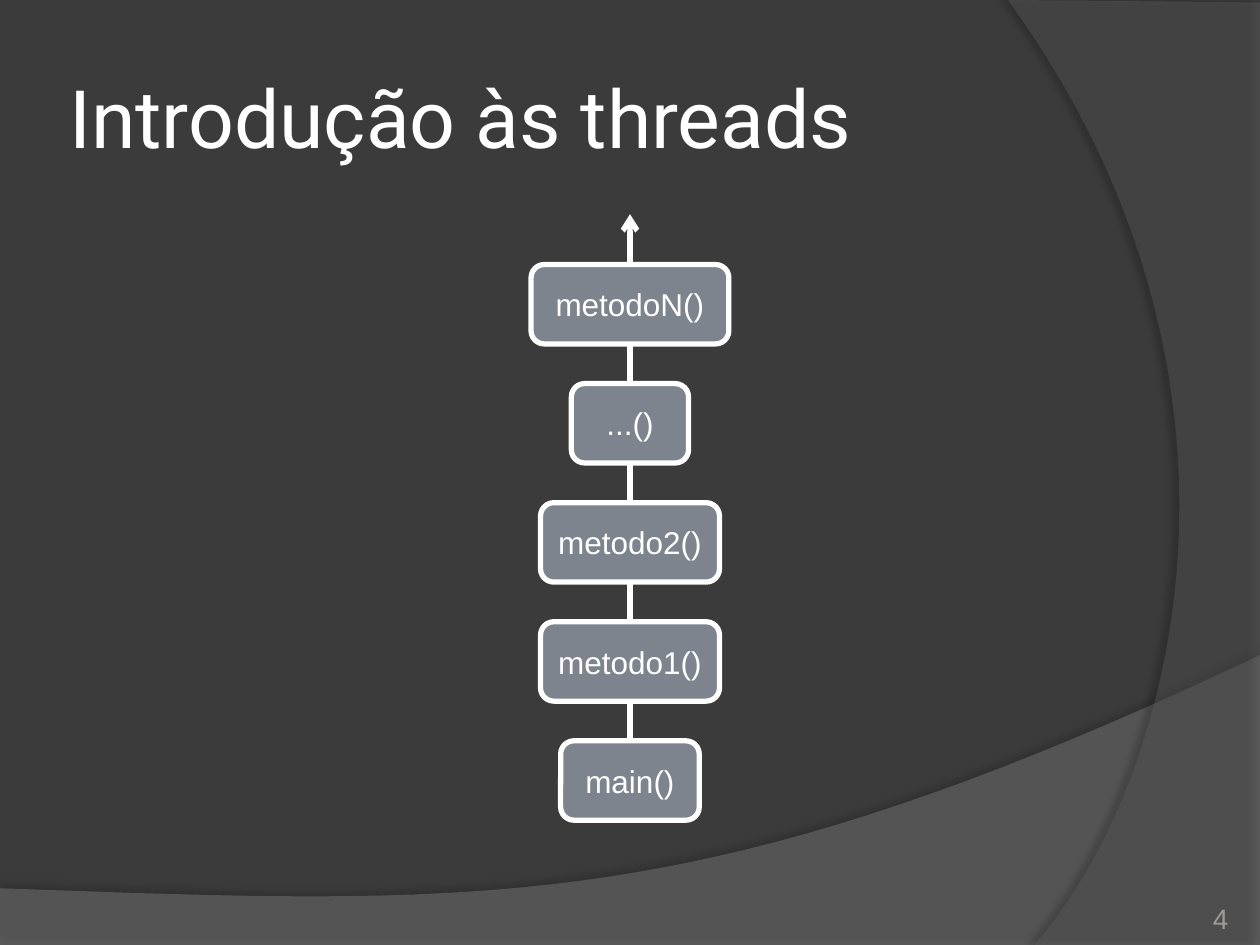
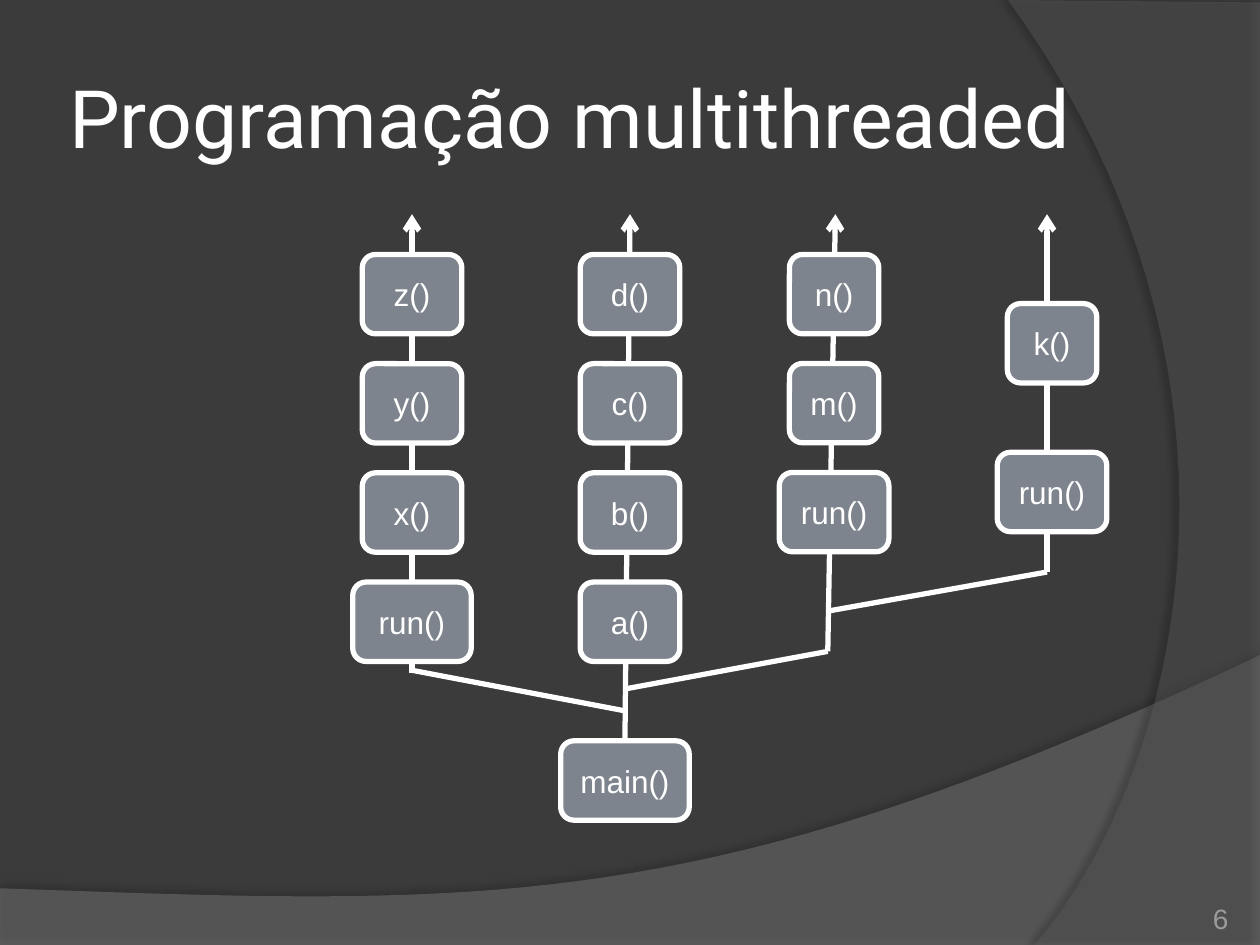
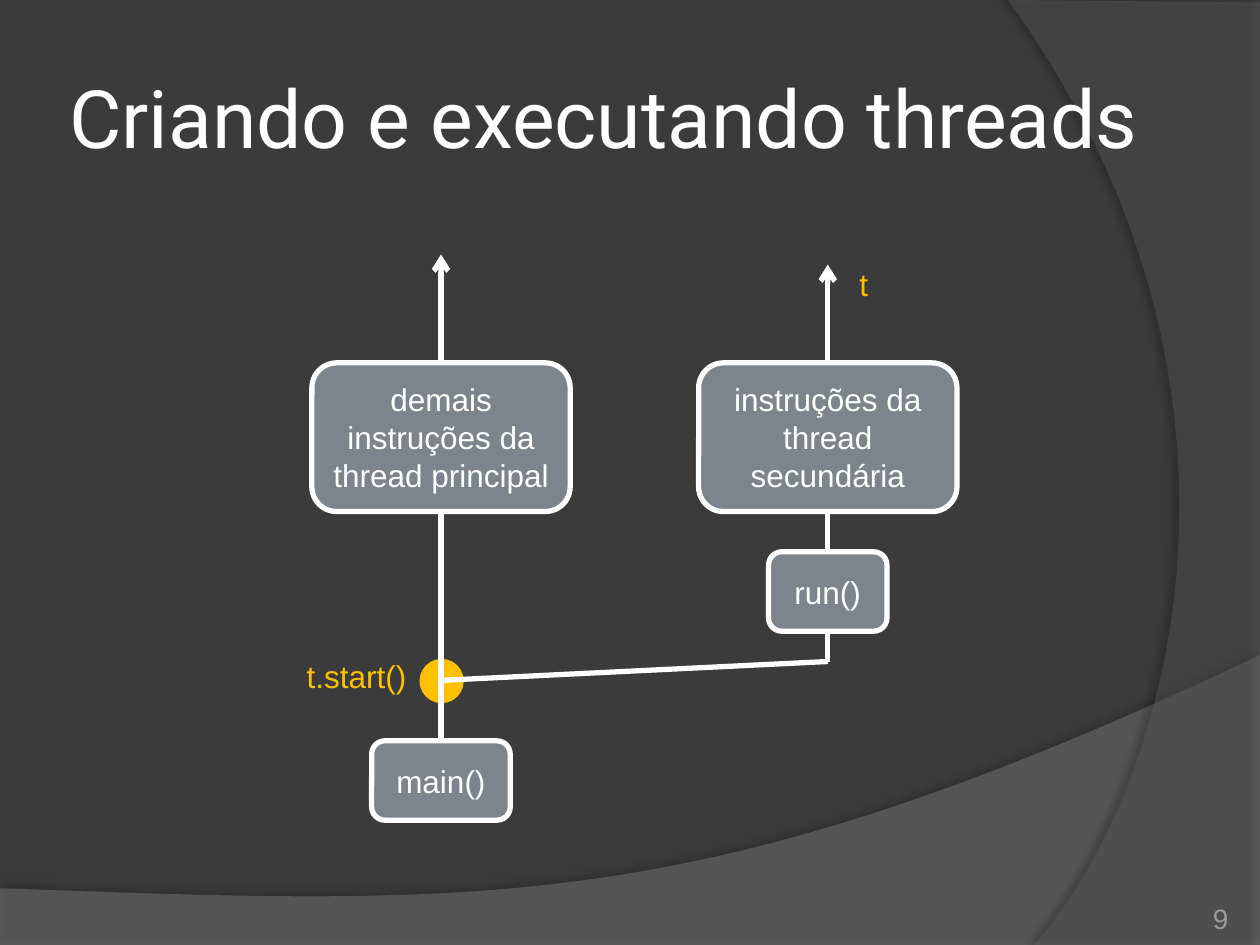
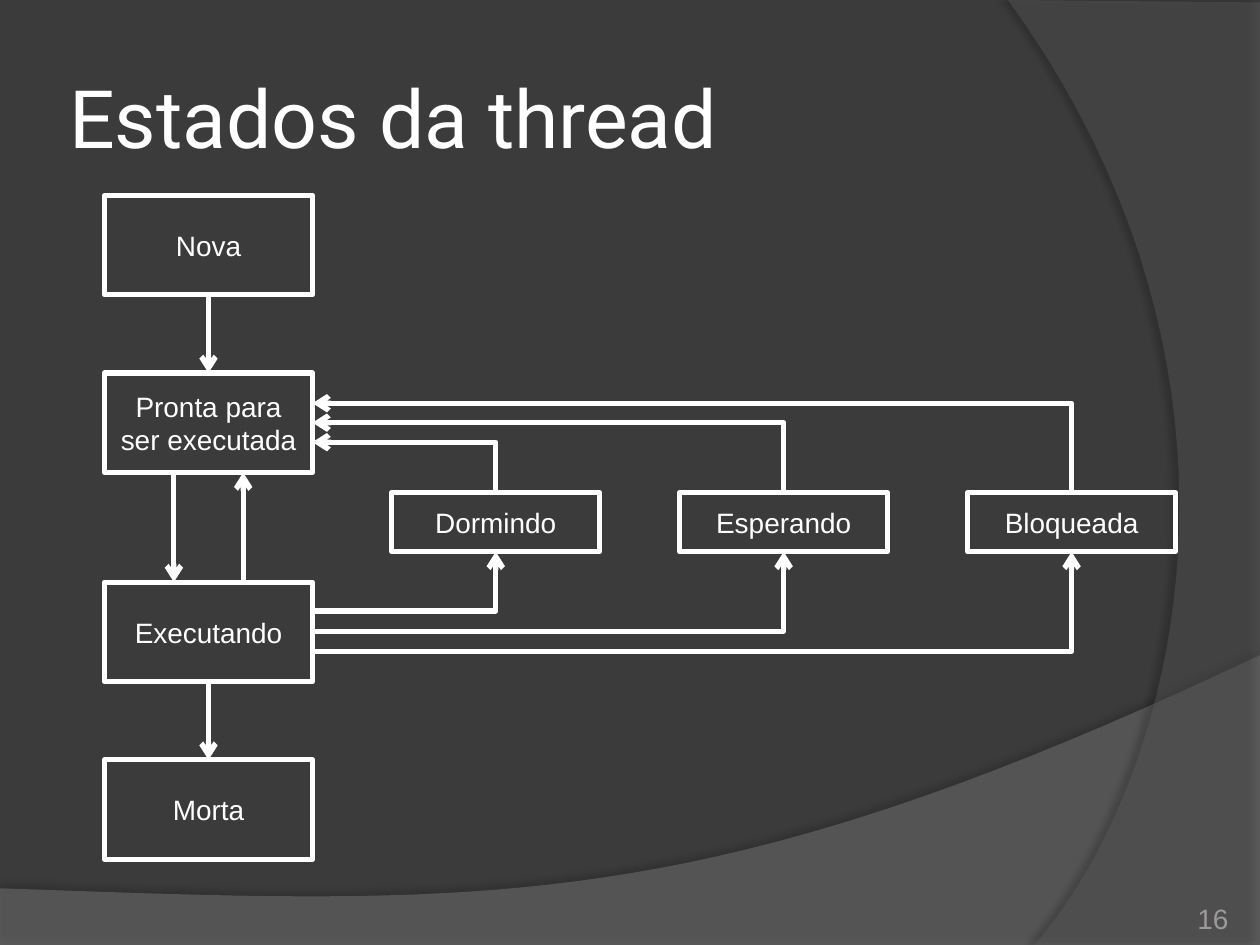
from dataclasses import dataclass
from typing import NamedTuple

from lxml import etree
from pptx import Presentation
from pptx.dml.color import RGBColor
from pptx.enum.shapes import MSO_CONNECTOR, MSO_SHAPE
from pptx.enum.text import MSO_ANCHOR, PP_ALIGN
from pptx.oxml.ns import qn
from pptx.shapes.autoshape import Shape
from pptx.shapes.connector import Connector
from pptx.slide import Slide, SlideMaster
from pptx.text.text import TextFrame
from pptx.util import Inches, Pt

ROUNDED, RECTANGLE, OVAL = MSO_SHAPE.ROUNDED_RECTANGLE, MSO_SHAPE.RECTANGLE, MSO_SHAPE.OVAL
STRAIGHT, ELBOW = MSO_CONNECTOR.STRAIGHT, MSO_CONNECTOR.ELBOW
LEFT, CENTER, RIGHT = PP_ALIGN.LEFT, PP_ALIGN.CENTER, PP_ALIGN.RIGHT
MIDDLE, BOTTOM = MSO_ANCHOR.MIDDLE, MSO_ANCHOR.BOTTOM
TOP_SIDE, BOTTOM_SIDE = 0, 2
CURVE_STEPS = 40


@dataclass(frozen=True)
class Theme:
    background: RGBColor = RGBColor(0x3B, 0x3B, 0x3B)
    wave: RGBColor = RGBColor(0x7F, 0x7F, 0x7F)
    arc: RGBColor = RGBColor(0x5E, 0x5E, 0x5E)
    white: RGBColor = RGBColor(0xFF, 0xFF, 0xFF)
    method: RGBColor = RGBColor(0x7E, 0x84, 0x8D)
    accent: RGBColor = RGBColor(0xFF, 0xC0, 0x00)
    number: RGBColor = RGBColor(0x9D, 0x9B, 0x9A)
    title_font: str = "Roboto"
    body_font: str = "Arial"
    title_size: int = 46
    method_size: int = 18
    small_size: int = 16
    line_width: int = 3


THEME = Theme()


class Point(NamedTuple):
    x: float
    y: float


class Frame(NamedTuple):
    left: float
    top: float
    width: float
    height: float


class TextStyle(NamedTuple):
    size: int
    color: RGBColor
    font: str = THEME.body_font
    align: PP_ALIGN = CENTER
    anchor: MSO_ANCHOR = MIDDLE


class Call(NamedTuple):
    """A method call, centred on its thread's column."""
    text: str
    width: float


class Band(NamedTuple):
    """Outline points, then a Bezier curve that starts at the last of them."""
    corners: list[Point]
    curve: tuple[Point, Point, Point]
    color: RGBColor
    opacity: int
    shadow_opacity: int
    shadow_distance: float
    shadow_angle: int


TITLE = TextStyle(THEME.title_size, THEME.white, THEME.title_font, LEFT)
NUMBER = TextStyle(THEME.small_size, THEME.number, align=RIGHT, anchor=BOTTOM)
METHOD = TextStyle(THEME.method_size, THEME.white)
STATE = TextStyle(THEME.small_size, THEME.white)
MARK = TextStyle(THEME.method_size, THEME.accent)

CALL_HEIGHT = 0.63
TITLE_WIDTH = 8.17

BANDS = [
    Band([Point(0, 7.05), Point(0, 7.5), Point(10, 7.5), Point(10, 5.2)],
         (Point(5.59, 7.29), Point(3.91, 7.19), Point(0, 7.05)),
         THEME.wave, 45, 35, 3.5, 270),
    Band([Point(10, 0.02), Point(10, 7.5), Point(8.21, 7.5)],
         (Point(9.35, 6.19), Point(10.18, 3), Point(8, 0)),
         THEME.arc, 40, 45, 4, 180),
]


# Text
def write(frame: TextFrame, text: str, style: TextStyle) -> None:
    frame.word_wrap = True
    frame.vertical_anchor = style.anchor
    for index, line in enumerate(text.split("\n")):
        paragraph = frame.add_paragraph() if index else frame.paragraphs[0]
        paragraph.alignment = style.align
        run = paragraph.add_run()
        run.text = line
        run.font.name = style.font
        run.font.size = Pt(style.size)
        run.font.color.rgb = style.color


def add_text(slide: Slide, place: Frame, text: str, style: TextStyle,
             inset: float | None = None) -> None:
    frame = slide.shapes.add_textbox(*map(Inches, place)).text_frame
    if inset is not None:
        frame.margin_left = frame.margin_right = Inches(inset)
        frame.margin_top = frame.margin_bottom = Inches(inset)
    write(frame, text, style)


# Boxes
def add_box(slide: Slide, place: Frame, kind: MSO_SHAPE, fill: RGBColor | None,
            line: RGBColor = THEME.white) -> Shape:
    box = slide.shapes.add_shape(kind, *map(Inches, place))
    box.shadow.inherit = False
    if fill is None:
        box.fill.background()
    else:
        box.fill.solid()
        box.fill.fore_color.rgb = fill
    box.line.color.rgb = line
    box.line.width = Pt(THEME.line_width)
    return box


def add_call(slide: Slide, call: Call, center: float, top: float,
             height: float = CALL_HEIGHT) -> Shape:
    place = Frame(center - call.width / 2, top, call.width, height)
    box = add_box(slide, place, ROUNDED, THEME.method)
    write(box.text_frame, call.text, METHOD)
    return box


def add_stack(slide: Slide, calls: list[Call], center: float,
              first_top: float, last_top: float) -> list[Shape]:
    """Place calls from the bottom up, equally spaced."""
    step = (last_top - first_top) / (len(calls) - 1)
    return [add_call(slide, call, center, first_top + index * step)
            for index, call in enumerate(calls)]


def add_state(slide: Slide, text: str, place: Frame) -> Shape:
    box = add_box(slide, place, RECTANGLE, None)
    write(box.text_frame, text, STATE)
    return box


# Lines
def add_line(slide: Slide, start: Point, end: Point, arrow: bool = True,
             kind: MSO_CONNECTOR = STRAIGHT) -> Connector:
    line = slide.shapes.add_connector(kind, *map(Inches, (*start, *end)))
    line.line.color.rgb = THEME.white
    line.line.width = Pt(THEME.line_width)
    properties = line.element.spPr
    if arrow:
        etree.SubElement(properties.find(qn("a:ln")), qn("a:tailEnd"), type="arrow")
    etree.SubElement(properties, qn("a:effectLst"))
    return line


def add_corner(slide: Slide, start: Point, end: Point, vertical_first: bool) -> None:
    """Draw an arrow with one right-angled bend."""
    line = add_line(slide, start, end, kind=ELBOW)
    line.element.spPr.find(qn("a:prstGeom")).set("prst", "bentConnector2")
    if vertical_first:
        # A quarter turn about the centre, for a path that goes up, then left
        width, height = abs(end.y - start.y), abs(end.x - start.x)
        line.left = Inches((start.x + end.x - width) / 2)
        line.top = Inches((start.y + end.y - height) / 2)
        line.width, line.height = Inches(width), Inches(height)
        transform = line.element.spPr.find(qn("a:xfrm"))
        transform.attrib.pop("flipH", None)
        transform.set("rot", str(270 * 60000))
        transform.set("flipV", "1")


# Shared background and slide frame
def bezier(start: Point, curve: tuple[Point, Point, Point]) -> list[Point]:
    points = []
    for step in range(1, CURVE_STEPS + 1):
        t = step / CURVE_STEPS
        weights = ((1 - t) ** 3, 3 * t * (1 - t) ** 2, 3 * t * t * (1 - t), t ** 3)
        controls = (start, *curve)
        points.append(Point(sum(w * p.x for w, p in zip(weights, controls)),
                            sum(w * p.y for w, p in zip(weights, controls))))
    return points


def add_band(slide: Slide, band: Band) -> Shape:
    outline = band.corners + bezier(band.corners[-1], band.curve)
    emu = [(Inches(point.x), Inches(point.y)) for point in outline]
    builder = slide.shapes.build_freeform(*emu[0])
    builder.add_line_segments(emu[1:], close=True)
    shape = builder.convert_to_shape()
    shape.fill.solid()
    shape.fill.fore_color.rgb = band.color
    shape.line.fill.background()
    shape.shadow.inherit = False
    properties = shape.element.spPr
    color = properties.find(qn("a:solidFill")).find(qn("a:srgbClr"))
    etree.SubElement(color, qn("a:alpha"), val=str(band.opacity * 1000))
    shadow = etree.SubElement(
        properties.find(qn("a:effectLst")), qn("a:outerShdw"),
        blurRad=str(Pt(4)), dist=str(Pt(band.shadow_distance)),
        dir=str(band.shadow_angle * 60000), algn="ctr", rotWithShape="0")
    shade = etree.SubElement(shadow, qn("a:srgbClr"), val="000000")
    etree.SubElement(shade, qn("a:alpha"), val=str(band.shadow_opacity * 1000))
    return shape


def dress_master(master: SlideMaster, slide: Slide) -> None:
    """Build the bands on a slide and move them to the master."""
    master.background.fill.solid()
    master.background.fill.fore_color.rgb = THEME.background
    for number, band in enumerate(BANDS, start=101):
        element = add_band(slide, band).element
        element.nvSpPr.cNvPr.set("id", str(number))
        master.shapes.element.append(element)


def add_heading(slide: Slide, title: str, number: int, width: float = TITLE_WIDTH) -> None:
    add_text(slide, Frame(0.5, 0.3, width, 1.25), title, TITLE, 0.05)
    add_text(slide, Frame(8.92, 7.02, 0.83, 0.4), str(number), NUMBER, 0)


# Slides
def draw_introduction(slide: Slide) -> None:
    add_heading(slide, "Introdução às threads", 4)
    thread = add_line(slide, Point(5, 5.88), Point(5, 1.7))
    calls = [Call("main()", 1.1), Call("metodo1()", 1.42), Call("metodo2()", 1.42),
             Call("...()", 0.93), Call("metodoN()", 1.57)]
    main_call, *_ = add_stack(slide, calls, 5, 5.88, 2.1)
    thread.begin_connect(main_call, TOP_SIDE)


def draw_multithreaded(slide: Slide) -> None:
    add_heading(slide, "Programação multithreaded", 6)
    main_thread = add_line(slide, Point(4.96, 5.88), Point(5, 1.7))
    main_call = add_call(slide, Call("main()", 1.02), 4.96, 5.88)
    main_thread.begin_connect(main_call, TOP_SIDE)

    for start, end in [(Point(3.27, 5.34), Point(3.27, 1.7)),
                       (Point(6.57, 5.17), Point(6.63, 1.7)),
                       (Point(8.31, 4.54), Point(8.31, 1.7))]:
        add_line(slide, start, end)
    for start, end in [(Point(3.27, 5.32), Point(4.95, 5.64)),
                       (Point(6.57, 5.17), Point(4.95, 5.47)),
                       (Point(8.31, 4.54), Point(6.57, 4.85))]:
        add_line(slide, start, end, arrow=False)

    short = 0.79
    add_stack(slide, [Call("run()", 0.94)] + [Call(f"{name}()", short) for name in "xyz"],
              3.27, 4.62, 2.02)
    add_stack(slide, [Call(f"{name}()", short) for name in "abcd"], 5, 4.62, 2.02)
    add_stack(slide, [Call("run()", 0.87), Call("m()", 0.71), Call("n()", 0.71)],
              6.62, 3.75, 2.02)
    add_stack(slide, [Call("run()", 0.87), Call("k()", 0.71)], 8.35, 3.59, 2.41)


def draw_start(slide: Slide) -> None:
    main_x, second_x = 3.5, 6.57
    add_box(slide, Frame(3.35, 5.25, 0.31, 0.31), OVAL, THEME.accent, THEME.accent)
    add_heading(slide, "Criando e executando threads", 9, width=8.59)

    # Main thread
    main_thread = add_line(slide, Point(main_x, 5.88), Point(main_x, 2.02))
    main_call = add_call(slide, Call("main()", 1.1), main_x, 5.88)
    main_thread.begin_connect(main_call, TOP_SIDE)
    add_call(slide, Call("demais instruções da thread principal", 2.05), main_x, 2.88, 1.18)

    # Second thread
    add_line(slide, Point(second_x, 5.25), Point(second_x, 2.1))
    add_line(slide, Point(second_x, 5.25), Point(main_x, 5.4), arrow=False)
    add_call(slide, Call("run()", 0.94), second_x, 4.38)
    add_call(slide, Call("instruções da thread secundária", 2.05), second_x, 2.88, 1.18)

    add_text(slide, Frame(2.24, 5.17, 1.18, 0.39), "t.start()", MARK)
    add_text(slide, Frame(6.5, 2.02, 0.71, 0.47), "t", MARK)


def draw_states(slide: Slide) -> None:
    add_heading(slide, "Estados da thread", 16)
    left, width, height = 0.83, 1.65, 0.79
    right = left + width
    wait_top, wait_height = 3.91, 0.47

    # Life cycle
    new, ready, running, dead = [
        add_state(slide, text, Frame(left, top, width, height))
        for text, top in [("Nova", 1.55), ("Pronta para\nser executada", 2.96),
                          ("Executando", 4.62), ("Morta", 6.03)]]
    for source, target, top, bottom in [(new, ready, 2.34, 2.96),
                                        (running, dead, 5.41, 6.03)]:
        step = add_line(slide, Point(1.65, top), Point(1.65, bottom))
        step.begin_connect(source, BOTTOM_SIDE)
        step.end_connect(target, TOP_SIDE)
    add_line(slide, Point(1.38, 3.75), Point(1.38, 4.62))
    add_line(slide, Point(1.93, 4.62), Point(1.93, 3.75))

    # Waiting states, each with a way in and a way back
    for index, text in enumerate(["Dormindo", "Esperando", "Bloqueada"]):
        wait_left = 3.11 + index * 2.285
        center = wait_left + width / 2
        add_state(slide, text, Frame(wait_left, wait_top, width, wait_height))
        add_corner(slide, Point(right, 4.85 + index * 0.16),
                   Point(center, wait_top + wait_height), vertical_first=False)
        add_corner(slide, Point(center, wait_top),
                   Point(right, 3.51 - index * 0.155), vertical_first=True)


def main() -> None:
    deck = Presentation()
    deck.slide_width, deck.slide_height = Inches(10), Inches(7.5)
    blank = deck.slide_layouts[6]
    for index, draw in enumerate([draw_introduction, draw_multithreaded,
                                  draw_start, draw_states]):
        slide = deck.slides.add_slide(blank)
        if index == 0:
            dress_master(deck.slide_master, slide)
        draw(slide)
    deck.save("out.pptx")


if __name__ == "__main__":
    main()
